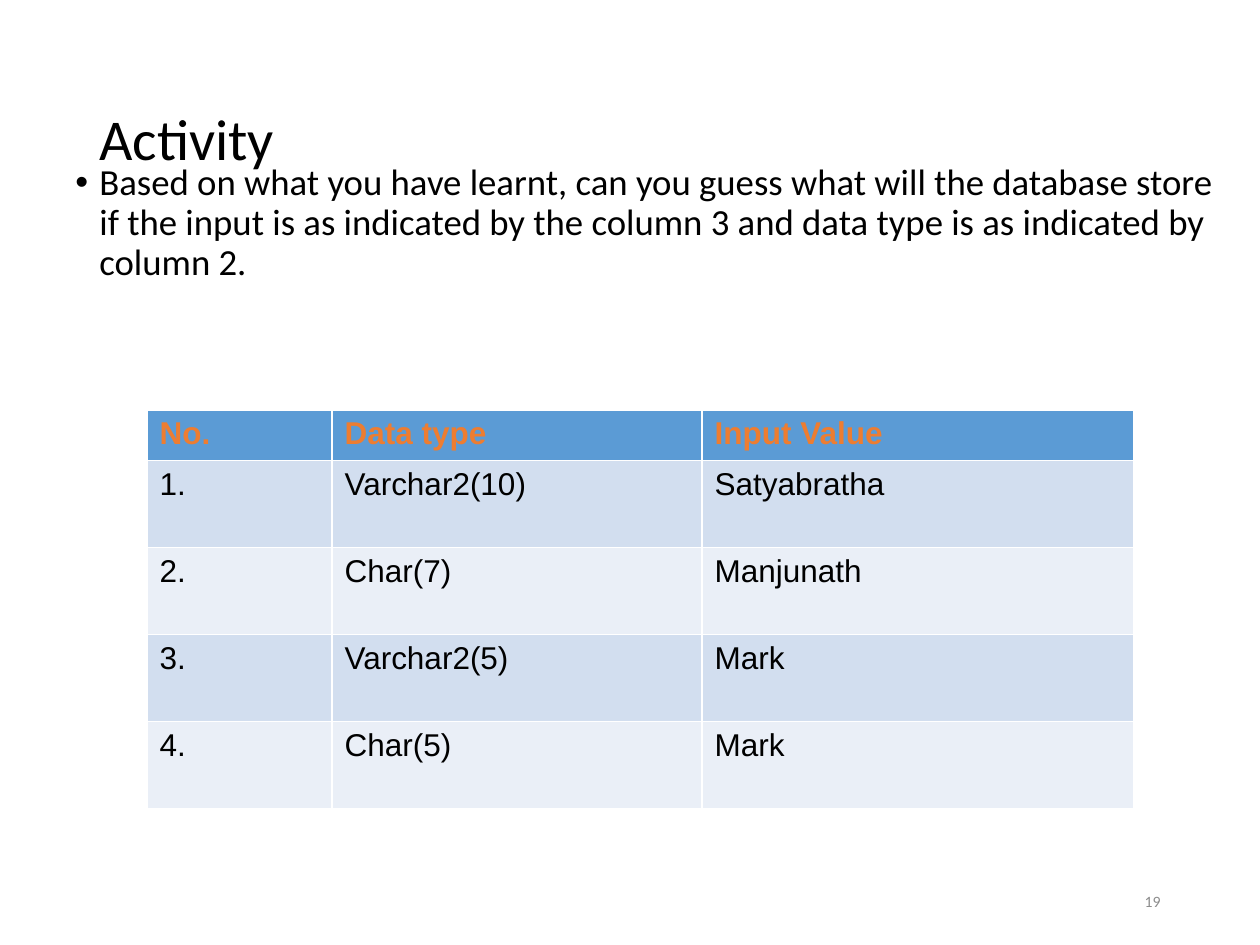
from lxml.etree import SubElement as Sub
from pptx import Presentation
from pptx.dml.color import RGBColor as Rgb
from pptx.enum.text import MSO_ANCHOR as Anchor, PP_ALIGN as Align
from pptx.oxml.ns import qn
from pptx.util import Pt

SCALE = 914400 / 126
ROWS = [
    ("No.", "Data type", "Input Value"),
    ("1.", "Varchar2(10)", "Satyabratha"),
    ("2.", "Char(7)", "Manjunath"),
    ("3.", "Varchar2(5)", "Mark"),
    ("4.", "Char(5)", "Mark"),
]
TASK = (
    "Based on what you have learnt, can you guess what will the database store "
    "if the input is as indicated by the column 3 and data type is as indicated "
    "by column 2."
)


def px(n):
    """Turn px into EMU."""
    return round(n * SCALE)


def color(code):
    """Turn a hex string into a colour."""
    return Rgb.from_string(code)


def style(para, size, code, face="Calibri", bold=False):
    """Format every run of a paragraph."""
    for run in para.runs:
        font = run.font
        font.name, font.size, font.bold = face, Pt(size), bold
        font.color.rgb = color(code)


def add_text(slide, box, text, size, code="000000", anchor=Anchor.MIDDLE):
    """Place a wrapped text box and return its paragraph."""
    frame = slide.shapes.add_textbox(*map(px, box)).text_frame
    frame.word_wrap = True
    frame.vertical_anchor = anchor
    frame.text = text
    para = frame.paragraphs[0]
    style(para, size, code)
    return para


def add_title(slide, box):
    """Place the slide title."""
    add_text(slide, box, "Activity", 33).line_spacing = 0.9


def add_task(slide, box):
    """Place the bulleted question."""
    para = add_text(slide, box, TASK, 21, anchor=Anchor.TOP)
    para.line_spacing = 0.9
    para.space_before = Pt(7.5)
    props = para._p.get_or_add_pPr()
    props.set("marL", str(px(24)))
    props.set("indent", str(px(-24)))
    Sub(props, qn("a:buFont"), typeface="Arial")
    Sub(props, qn("a:buChar"), char="•")


def add_grid(slide, box):
    """Place the data type table, with column widths in shares of the box."""
    left, top, width, height = box
    shape = slide.shapes.add_table(len(ROWS), 3, *map(px, box))
    table = shape.table
    for col, share in zip(table.columns, (0.1875, 0.375, 0.4375)):
        col.width = px(width * share)
    head = 50
    step = (height - head) / (len(ROWS) - 1)
    for r, texts in enumerate(ROWS):
        table.rows[r].height = px(step if r else head)
        band = ("EAEFF7", "D2DEEF")[r % 2] if r else "5B9BD5"
        for c, text in enumerate(texts):
            cell = table.cell(r, c)
            cell.fill.solid()
            cell.fill.fore_color.rgb = color(band)
            cell.text = text
            ink = "000000" if r else "ED7D31"
            style(cell.text_frame.paragraphs[0], 18, ink, "Arial", r == 0)


def add_number(slide, box):
    """Place the slide number."""
    add_text(slide, box, "19", 9, "8C8C8C").alignment = Align.RIGHT


def main():
    """Build and save the slide."""
    deck = Presentation()
    deck.slide_width, deck.slide_height = px(1260), px(945)
    slide = deck.slides.add_slide(deck.slide_layouts[6])
    add_title(slide, (87, 50, 1086, 183))
    add_task(slide, (63, 158, 1166, 168))
    add_number(slide, (890, 876, 283, 50))
    add_grid(slide, (147, 410, 987, 398))
    deck.save("out.pptx")


if __name__ == "__main__":
    main()
